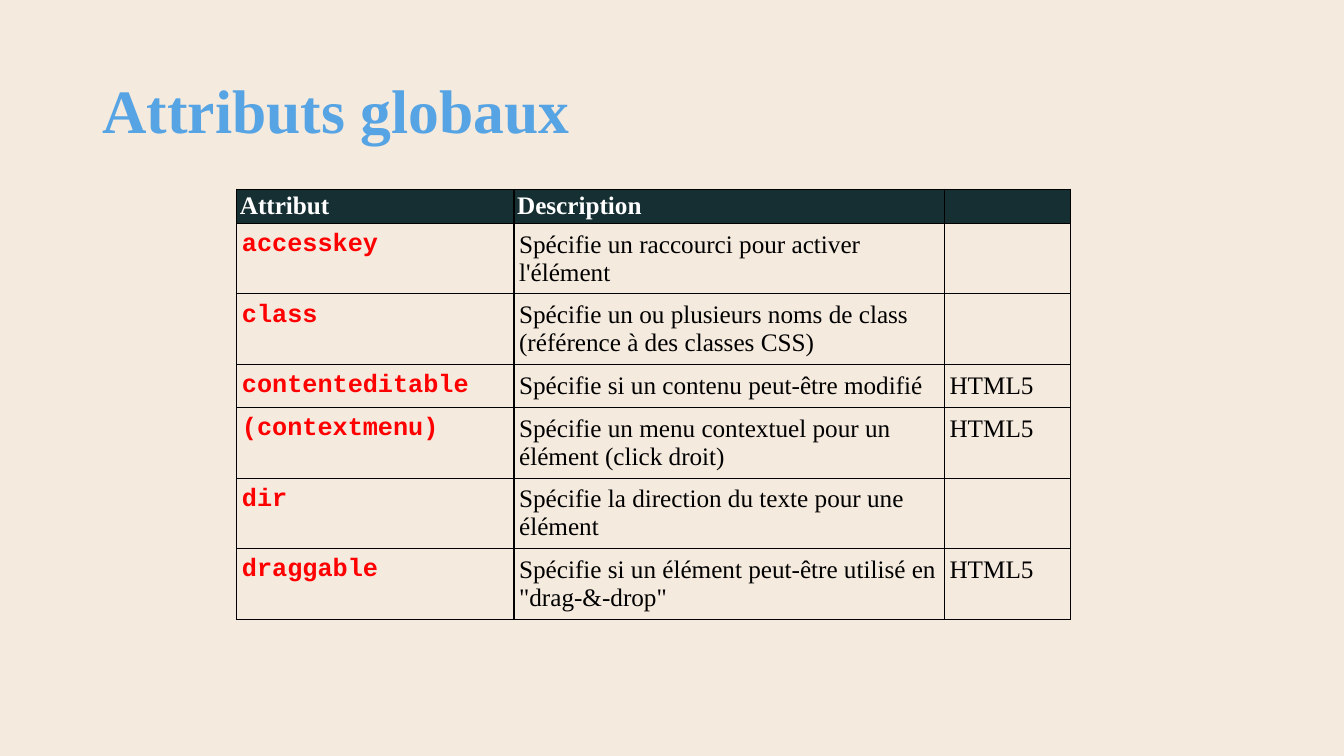
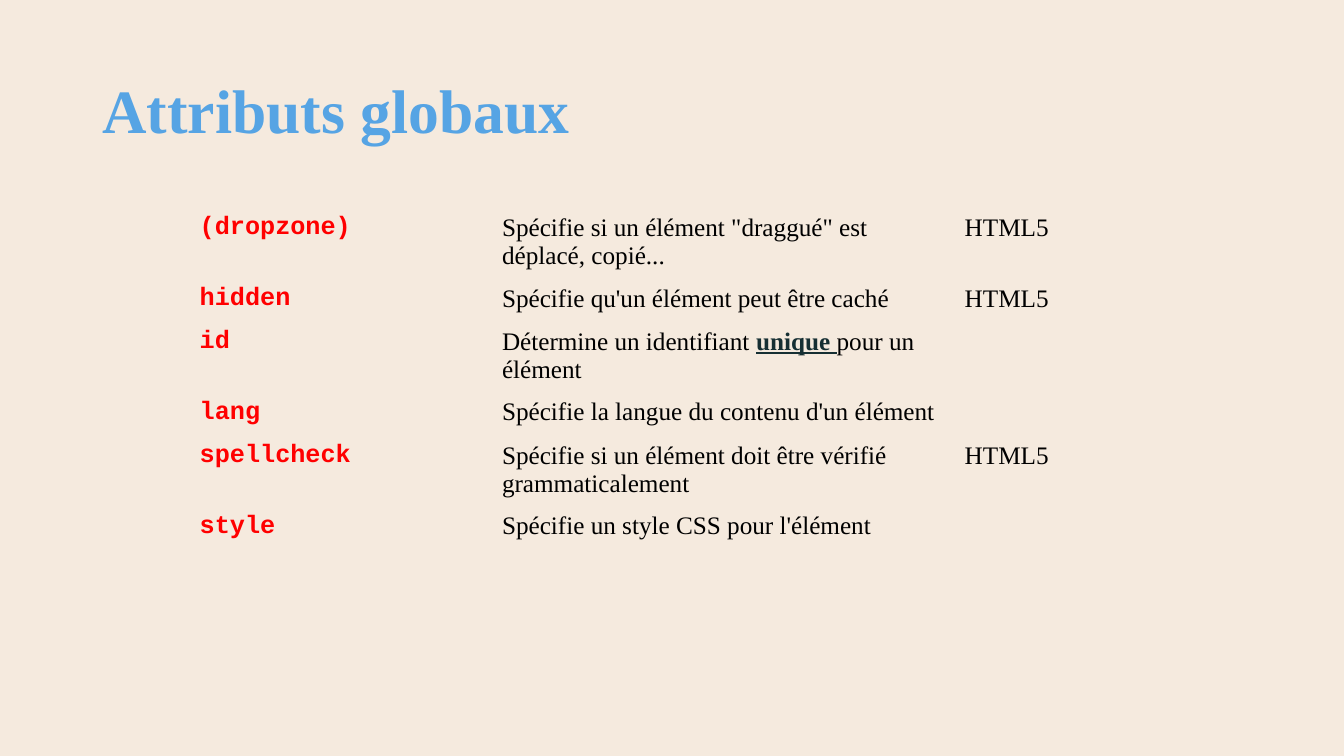
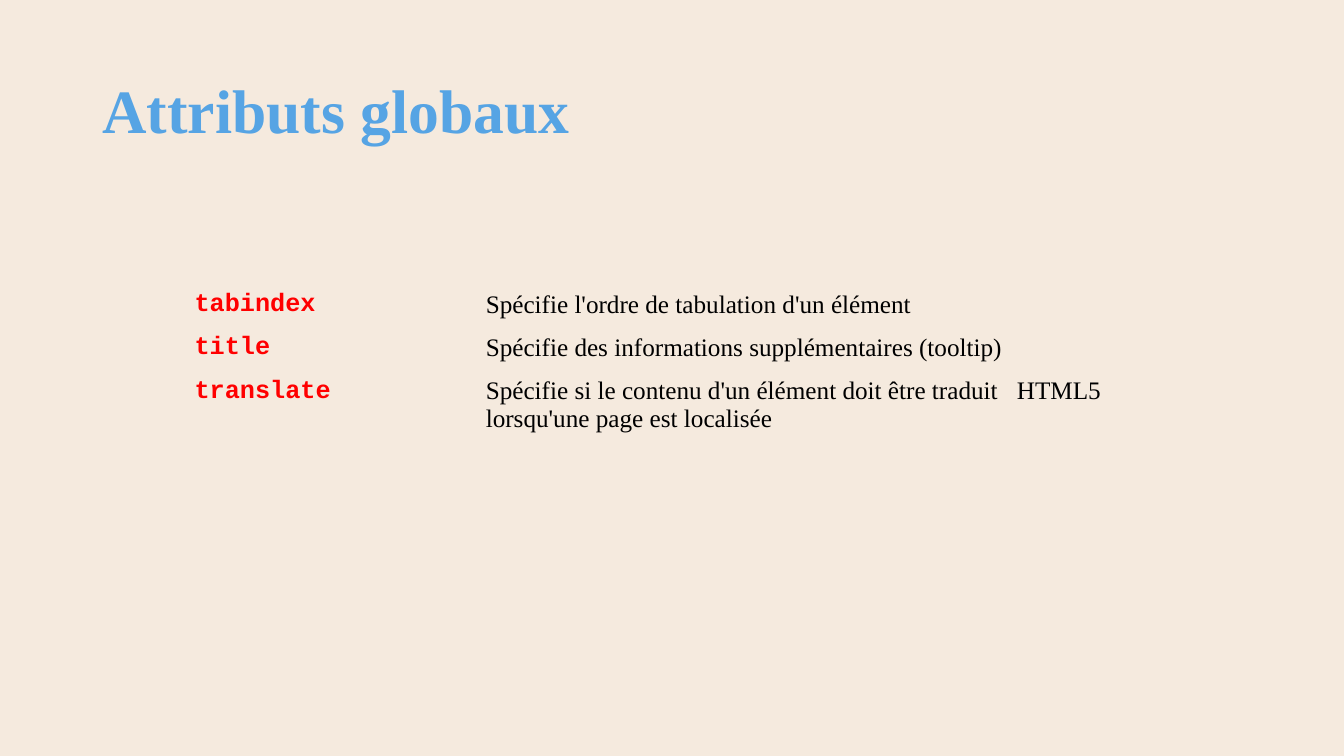
from lxml import etree
from pptx import Presentation
from pptx.dml.color import RGBColor
from pptx.enum.text import MSO_ANCHOR, MSO_AUTO_SIZE, PP_ALIGN
from pptx.oxml.ns import qn
from pptx.util import Pt

LEFT = PP_ALIGN.LEFT
TOP = MSO_ANCHOR.TOP
MIDDLE = MSO_ANCHOR.MIDDLE
NO_AUTOFIT = MSO_AUTO_SIZE.NONE

COLORS = {
    "background": "F5EADE",
    "title": "56A4E4",
    "header": "162F33",
    "header_text": "FFFFFF",
    "attribute": "FF0000",
    "text": "000000",
    "border": "000000",
}
SERIF = "Times New Roman"
MONO = "Courier New"
BODY_SIZE = 18
TITLE = "Attributs globaux"
TITLE_BOX = (66, 28.8, 828, 104.4)
HEADER_INSETS = (2.16, 2.16)
BODY_INSETS = (3.6, 5.25)
HEADER_HEIGHT = 12
ROW_HEIGHT = 30
PLAIN_TABLE_STYLE = "{2D5ABB26-0587-4C30-8999-92F81FD0307C}"
EMPHASIS_MARK = "*"

SLIDES = [
    {
        "box": (169.2, 135.2, 348.5),
        "columns": (198, 307.5, 90),
        "header": ("Attribut", "Description", ""),
        "bordered": True,
        "attributes": [
            ("accesskey", "Spécifie un raccourci pour activer l'élément", ""),
            ("class", "Spécifie un ou plusieurs noms de class (référence à des classes CSS)", ""),
            ("contenteditable", "Spécifie si un contenu peut-être modifié", "HTML5"),
            ("(contextmenu)", "Spécifie un menu contextuel pour un élément (click droit)", "HTML5"),
            ("dir", "Spécifie la direction du texte pour une élément", ""),
            ("draggable", 'Spécifie si un élément peut-être utilisé en "drag-&-drop"', "HTML5"),
        ],
    },
    {
        "box": (139, 147.6, 279.4),
        "columns": (216, 330.5, 90),
        "attributes": [
            ("(dropzone)", 'Spécifie si un élément "draggué" est déplacé, copié...', "HTML5"),
            ("hidden", "Spécifie qu'un élément peut être caché", "HTML5"),
            ("id", "Détermine un identifiant *unique *pour un élément", ""),
            ("lang", "Spécifie la langue du contenu d'un élément", ""),
            ("spellcheck", "Spécifie si un élément doit être vérifié grammaticalement", "HTML5"),
            ("style", "Spécifie un style CSS pour l'élément", ""),
        ],
    },
    {
        "box": (135.4, 202.3, 182.9),
        "columns": (208, 379.4, 80),
        "attributes": [
            ("tabindex", "Spécifie l'ordre de tabulation d'un élément", ""),
            ("title", "Spécifie des informations supplémentaires (tooltip)", ""),
            ("translate", "Spécifie si le contenu d'un élément doit être traduit lorsqu'une page est localisée", "HTML5"),
        ],
    },
]


def rgb(name):
    return RGBColor.from_string(COLORS[name])


def style_font(font, size, family, color, bold):
    font.size = Pt(size)
    font.name = family
    font.color.rgb = rgb(color)
    font.bold = bold


def set_background(master):
    fill = master.background.fill
    fill.solid()
    fill.fore_color.rgb = rgb("background")


def place_title(title, box):
    title.left, title.top, title.width, title.height = map(Pt, box)
    frame = title.text_frame
    frame.text = TITLE
    frame.auto_size = NO_AUTOFIT
    frame.vertical_anchor = MIDDLE
    heading = frame.paragraphs[0]
    heading.alignment = LEFT
    heading.line_spacing = 0.9
    style_font(heading.runs[0].font, 44, SERIF, "title", True)


def add_borders(cell):
    properties = cell._tc.get_or_add_tcPr()
    for position, side in enumerate(("a:lnL", "a:lnR", "a:lnT", "a:lnB")):
        line = etree.Element(qn(side), w=str(Pt(1)))
        fill = etree.SubElement(line, qn("a:solidFill"))
        etree.SubElement(fill, qn("a:srgbClr"), val=COLORS["border"])
        properties.insert(position, line)


def size_empty_paragraph(paragraph):
    ending = etree.SubElement(paragraph._p, qn("a:endParaRPr"), sz=str(BODY_SIZE * 100))
    etree.SubElement(ending, qn("a:latin"), typeface=SERIF)


def fill_cell(cell, text, insets, family, color, bold):
    cell.margin_left = cell.margin_right = Pt(insets[0])
    cell.margin_top = cell.margin_bottom = Pt(insets[1])
    cell.vertical_anchor = TOP
    cell.fill.background()
    paragraph = cell.text_frame.paragraphs[0]
    if not text:
        size_empty_paragraph(paragraph)
        return
    for index, part in enumerate(text.split(EMPHASIS_MARK)):
        run = paragraph.add_run()
        run.text = part
        style_font(run.font, BODY_SIZE, family, color, bold)
        if index % 2:
            style_font(run.font, BODY_SIZE, family, "header", True)
            run.font.underline = True


def fill_header_cell(cell, text):
    fill_cell(cell, text, HEADER_INSETS, SERIF, "header_text", True)
    cell.fill.solid()
    cell.fill.fore_color.rgb = rgb("header")


def fill_attribute_cell(cell, text, column):
    if column == 0:
        fill_cell(cell, text, BODY_INSETS, MONO, "attribute", True)
    else:
        fill_cell(cell, text, BODY_INSETS, SERIF, "text", False)


def add_attribute_table(slide, box, columns, attributes, header=None, bordered=False):
    left, top, height = box
    rows = ([header] if header else []) + attributes
    frame = slide.shapes.add_table(
        len(rows), len(columns), Pt(left), Pt(top), Pt(sum(columns)), Pt(height))
    table = frame.table
    table.first_row = bool(header)
    table.horz_banding = False
    table._tbl.tblPr.find(qn("a:tableStyleId")).text = PLAIN_TABLE_STYLE
    for column, width in zip(table.columns, columns):
        column.width = Pt(width)
    for row, texts in zip(table.rows, rows):
        is_header = texts is header
        row.height = Pt(HEADER_HEIGHT if is_header else ROW_HEIGHT)
        for column, (cell, text) in enumerate(zip(row.cells, texts)):
            if is_header:
                fill_header_cell(cell, text)
            else:
                fill_attribute_cell(cell, text, column)
            if bordered:
                add_borders(cell)
    frame.height = Pt(height)


def main():
    deck = Presentation()
    deck.slide_width, deck.slide_height = Pt(960), Pt(540)
    set_background(deck.slide_master)
    title_only = deck.slide_layouts.get_by_name("Title Only")
    for content in SLIDES:
        slide = deck.slides.add_slide(title_only)
        place_title(slide.shapes.title, TITLE_BOX)
        add_attribute_table(slide, **content)
    deck.save("out.pptx")


if __name__ == "__main__":
    main()
